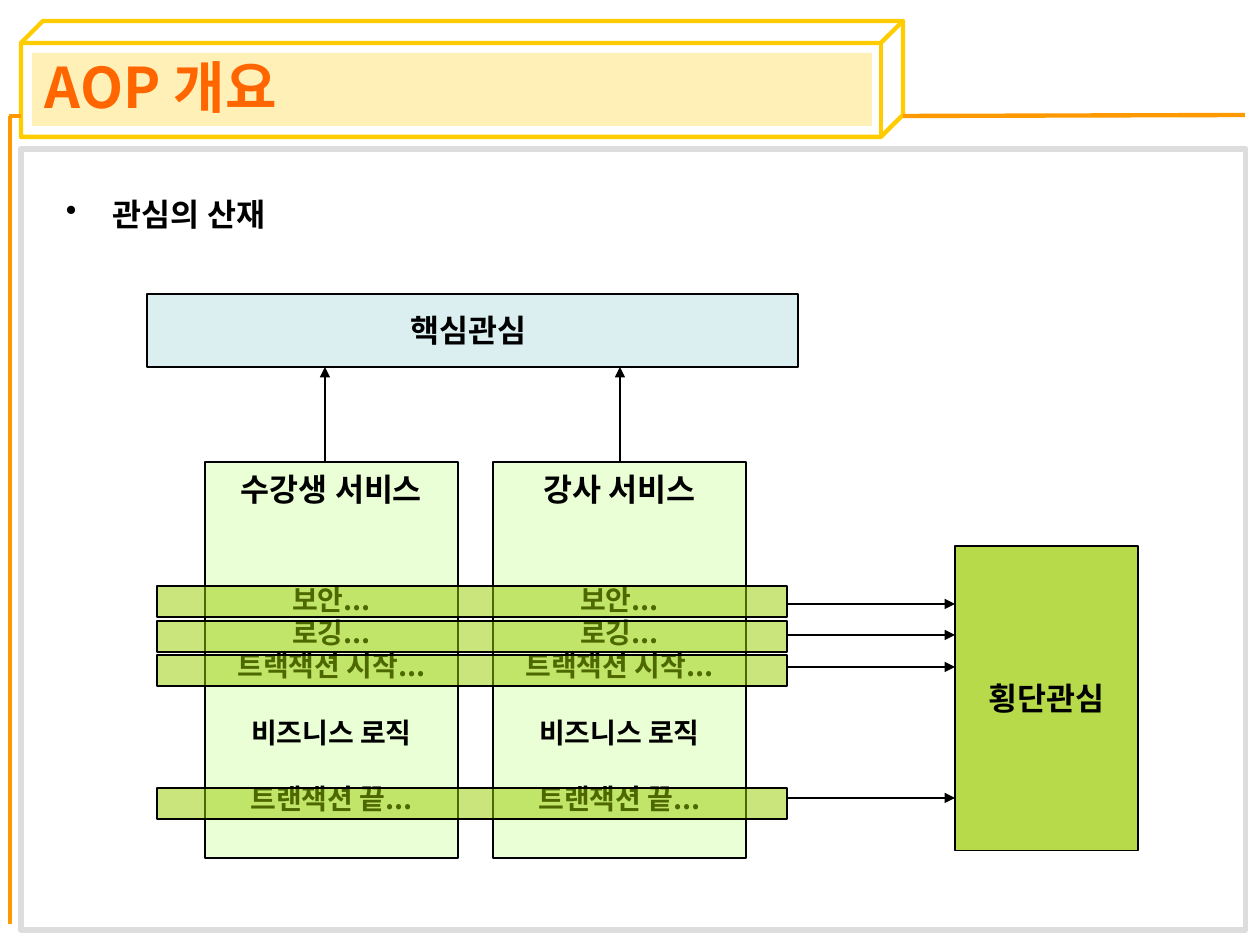
import pptx
import pptx.dml.color
import pptx.enum.shapes
import pptx.enum.text
import pptx.oxml.ns
import pptx.util
from lxml import etree

EMU_PER_PX = 914400 // 126
FONT = "Noto Sans CJK KR"
LINE_HEIGHT = 1.19
COLORS = {
    "black": "000000", "title": "FF6600", "gold": "FFCC00", "orange": "FF9900",
    "frame": "DDDDDD", "service": "CCFF99", "concern": "99CC00", "core": "BBE0E3",
}
SHAPES = pptx.enum.shapes.MSO_SHAPE
ANCHORS = pptx.enum.text.MSO_ANCHOR
ALIGNS = pptx.enum.text.PP_ALIGN

TITLE = "AOP 개요"
TOPIC = "관심의 산재"
CORE = "핵심관심 "
CROSSCUTTING = "횡단관심"
SERVICES = ["수강생 서비스", "강사 서비스"]
# text, gap above it in points
STEPS = [("보안...", 43), ("로깅...", 0), ("트랙잭션 시작...", 0),
         ("비즈니스 로직", 19), ("트랜잭션 끝...", 19)]
# top of the band, height of its arrow
BANDS = [(586, 604), (621, 635), (655, 667), (788, 798)]
RULES = [(10, 116, 10, 924), (903, 116, 1245, 115), (9, 116, 21, 116)]

SERVICE_LEFT, SERVICE_TOP, SERVICE_STEP = 205, 462, 288
CORE_BOX = (147, 294, 651, 73)
CROSS_BOX = (955, 546, 183, 305)
BAND_LEFT, BAND_WIDTH, BAND_HEIGHT = 157, 630, 31
CORE_ARROWS = [325, 620]


def px(value):
    return pptx.util.Emu(value * EMU_PER_PX)


def rgb(name):
    return pptx.dml.color.RGBColor.from_string(COLORS[name])


def add_child(parent, tag, **attributes):
    child = etree.SubElement(parent, pptx.oxml.ns.qn(tag))
    for name, value in attributes.items():
        child.set(name, value)
    return child


def add_box(slide, box, fill=None, opacity=100, line="black", width=0.75, kind=SHAPES.RECTANGLE):
    shape = slide.shapes.add_shape(kind, *map(px, box))
    shape.shadow.inherit = False
    if fill:
        shape.fill.solid()
        shape.fill.fore_color.rgb = rgb(fill)
        color = shape.fill._xPr.find(".//" + pptx.oxml.ns.qn("a:srgbClr"))
        add_child(color, "a:alpha", val=str(opacity * 1000))
    else:
        shape.fill.background()
    if line:
        shape.line.color.rgb = rgb(line)
        shape.line.width = pptx.util.Pt(width)
    else:
        shape.line.fill.background()
    return shape


def add_line(slide, ends, color="black", width=0.75, arrow=False):
    line = slide.shapes.add_connector(pptx.enum.shapes.MSO_CONNECTOR.STRAIGHT, *map(px, ends))
    line.line.color.rgb = rgb(color)
    line.line.width = pptx.util.Pt(width)
    if arrow:
        add_child(line.line._get_or_add_ln(), "a:tailEnd", type="triangle")
    add_child(line._element.spPr, "a:effectLst")


def write(shape, rows, anchor=ANCHORS.MIDDLE, align=ALIGNS.CENTER, color="black", inset=6):
    """Fill a shape with rows of (text, size, gap above)."""
    frame = shape.text_frame
    frame.word_wrap = True
    frame.vertical_anchor = anchor
    frame.margin_left = frame.margin_right = px(13)
    frame.margin_top = frame.margin_bottom = px(inset)
    frame.text = "\n".join(text for text, _, _ in rows)
    for paragraph, (_, size, gap) in zip(frame.paragraphs, rows):
        paragraph.alignment = align
        paragraph.line_spacing = pptx.util.Pt(round(size * LINE_HEIGHT, 1))
        paragraph.space_before = pptx.util.Pt(gap)
        for run in paragraph.runs:
            run.font.size = pptx.util.Pt(size)
            run.font.bold = True
            run.font.name = FONT
            run.font.color.rgb = rgb(color)
            add_child(run._r.get_or_add_rPr(), "a:ea", typeface=FONT)


def add_header(slide):
    cube = add_box(slide, (21, 21, 882, 116), line="gold", width=2.5, kind=SHAPES.CUBE)
    cube.adjustments[0] = 0.19
    add_box(slide, (32, 53, 840, 73), "gold", 28, line=None)
    for ends in RULES:
        add_line(slide, ends, "orange", 2.5)
    add_box(slide, (21, 149, 1225, 781), line="frame", width=3)
    title = slide.shapes.add_textbox(*map(px, (32, 53, 935, 68)))
    write(title, [(TITLE, 32, 0)], ANCHORS.TOP, ALIGNS.LEFT, "title", inset=0)
    topic = slide.shapes.add_textbox(*map(px, (53, 189, 1155, 50)))
    write(topic, [(TOPIC, 18, 0)], align=ALIGNS.LEFT)
    properties = topic.text_frame.paragraphs[0]._p.get_or_add_pPr()
    properties.set("marL", str(px(47)))
    properties.set("indent", str(px(-47)))
    add_child(properties, "a:buChar", char="•")


def add_diagram(slide):
    for index, service in enumerate(SERVICES):
        box = (SERVICE_LEFT + index * SERVICE_STEP, SERVICE_TOP, 253, 396)
        rows = [(service, 18, 0)] + [(text, 16, gap) for text, gap in STEPS]
        write(add_box(slide, box, "service", 40), rows, ANCHORS.TOP, inset=8)
    for top, _ in BANDS:
        add_box(slide, (BAND_LEFT, top, BAND_WIDTH, BAND_HEIGHT), "concern", 51)
    write(add_box(slide, CORE_BOX, "core", 53), [(CORE, 18, 0)])
    write(add_box(slide, CROSS_BOX, "concern", 71), [(CROSSCUTTING, 18, 0)])
    for x in CORE_ARROWS:
        add_line(slide, (x, SERVICE_TOP, x, CORE_BOX[1] + CORE_BOX[3]), arrow=True)
    for _, y in BANDS:
        add_line(slide, (BAND_LEFT + BAND_WIDTH, y, CROSS_BOX[0], y), arrow=True)


def main():
    presentation = pptx.Presentation()
    presentation.slide_width = pptx.util.Inches(10)
    presentation.slide_height = pptx.util.Inches(7.5)
    slide = presentation.slides.add_slide(presentation.slide_layouts[6])
    add_header(slide)
    add_diagram(slide)
    presentation.save("out.pptx")


if __name__ == "__main__":
    main()
